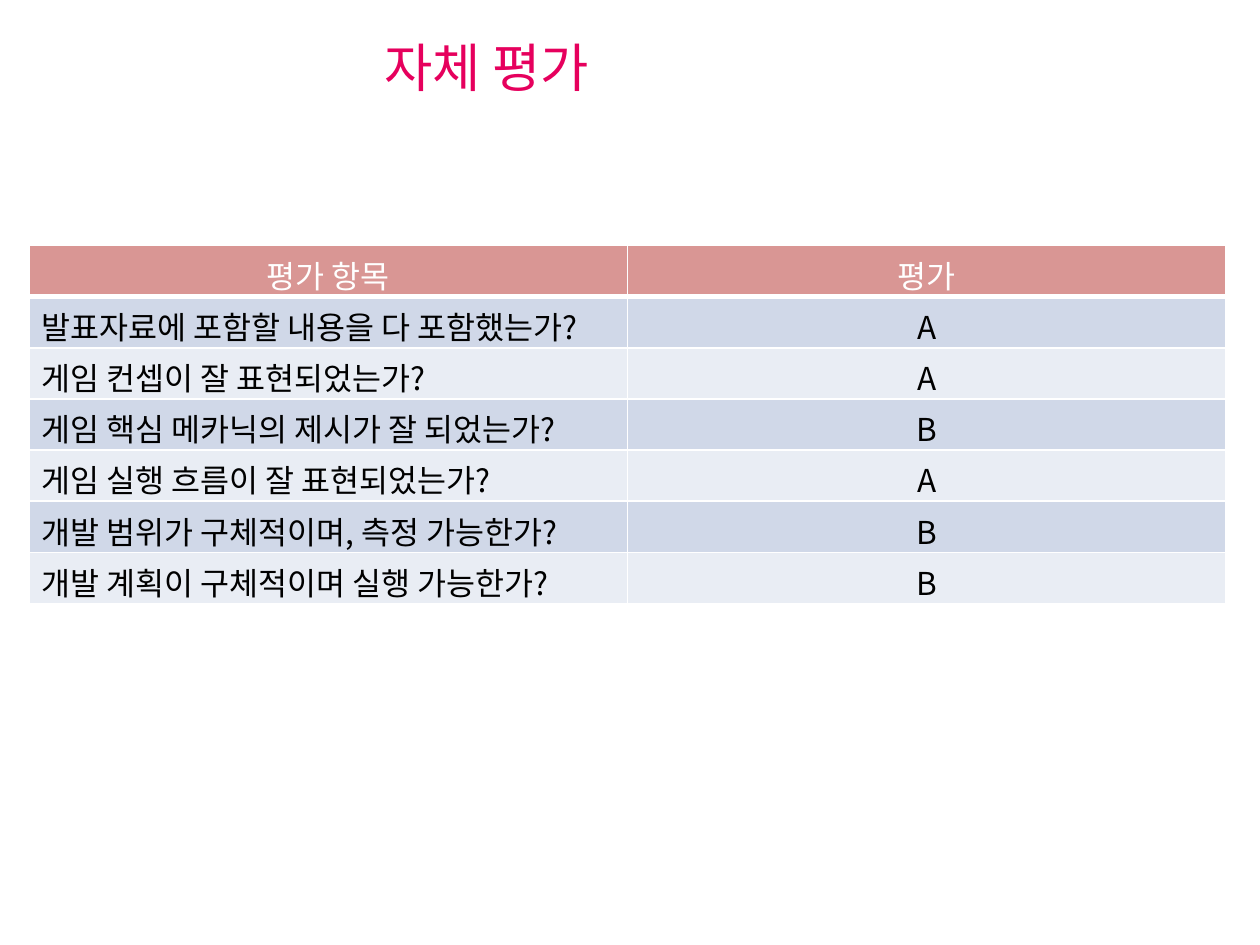
from dataclasses import dataclass

from lxml import etree
from pptx import Presentation
from pptx import util as u
from pptx.dml.color import RGBColor
from pptx.enum import text
from pptx.oxml import ns


@dataclass(frozen=True)
class Theme:
    font: str = "Noto Sans CJK KR"
    title_size: int = 30
    cell_size: int = 18
    title: str = "E6005D"
    header: str = "D99694"
    bands: tuple = ("D0D8E8", "E9EDF4")
    white: str = "FFFFFF"
    black: str = "000000"


THEME = Theme()

HEADER = ("평가 항목", "평가")
RATINGS = (
    ("발표자료에 포함할 내용을 다 포함했는가?", "A"),
    ("게임 컨셉이 잘 표현되었는가?", "A"),
    ("게임 핵심 메카닉의 제시가 잘 되었는가?", "B"),
    ("게임 실행 흐름이 잘 표현되었는가?", "A"),
    ("개발 범위가 구체적이며, 측정 가능한가?", "B"),
    ("개발 계획이 구체적이며 실행 가능한가?", "B"),
)


def add_run(p, words, size, color):
    r = p.add_run()
    r.text = words
    r.font.size = u.Pt(size)
    r.font.color.rgb = RGBColor.from_string(color)
    r.font.name = THEME.font
    # East Asian text takes its font from a:ea
    etree.SubElement(r.font._element, ns.qn("a:ea"), typeface=THEME.font)
    return r


def make_line(tag, color, width, alpha=None):
    ln = etree.Element(ns.qn(tag), w=str(u.Pt(width)))
    fill = etree.SubElement(ln, ns.qn("a:solidFill"))
    clr = etree.SubElement(fill, ns.qn("a:srgbClr"), val=color)
    if alpha is not None:
        etree.SubElement(clr, ns.qn("a:alpha"), val=str(alpha * 1000))
    return ln


def add_title(s, words):
    sp = s.shapes.add_textbox(u.Inches(2.95), u.Inches(0.23),
                              u.Inches(2.03), u.Inches(0.61))
    tf = sp.text_frame
    tf.word_wrap = False
    tf.auto_size = text.MSO_AUTO_SIZE.SHAPE_TO_FIT_TEXT
    r = add_run(tf.paragraphs[0], words, THEME.title_size, THEME.title)
    r.font._element.insert(0, make_line("a:ln", THEME.title, 0.75, alpha=25))


def fill_cell(cell, words, fill, color, centred, bottom=1):
    cell.fill.solid()
    cell.fill.fore_color.rgb = RGBColor.from_string(fill)
    p = cell.text_frame.paragraphs[0]
    p.alignment = text.PP_ALIGN.CENTER if centred else text.PP_ALIGN.LEFT
    add_run(p, words, THEME.cell_size, color)
    # Borders come before the fill in the cell properties
    tc_pr = cell._tc.get_or_add_tcPr()
    widths = {"a:lnL": 1, "a:lnR": 1, "a:lnT": 1, "a:lnB": bottom}
    for i, (tag, width) in enumerate(widths.items()):
        tc_pr.insert(i, make_line(tag, THEME.white, width))


def add_rating_table(s):
    table = s.shapes.add_table(len(RATINGS) + 1, len(HEADER),
                               u.Inches(0.23), u.Inches(1.95),
                               u.Inches(9.5), u.Inches(2.84)).table
    # Header row
    for col, words in enumerate(HEADER):
        fill_cell(table.cell(0, col), words, THEME.header, THEME.white,
                  centred=True, bottom=3)
    # Banded rating rows
    for row, rating in enumerate(RATINGS, start=1):
        band = THEME.bands[(row - 1) % 2]
        for col, words in enumerate(rating):
            fill_cell(table.cell(row, col), words, band, THEME.black,
                      centred=col == 1)


def main():
    prs = Presentation()
    prs.slide_width, prs.slide_height = u.Inches(10), u.Inches(7.5)
    s = prs.slides.add_slide(prs.slide_layouts[6])
    add_title(s, "자체 평가")
    add_rating_table(s)
    prs.save("out.pptx")


if __name__ == "__main__":
    main()
